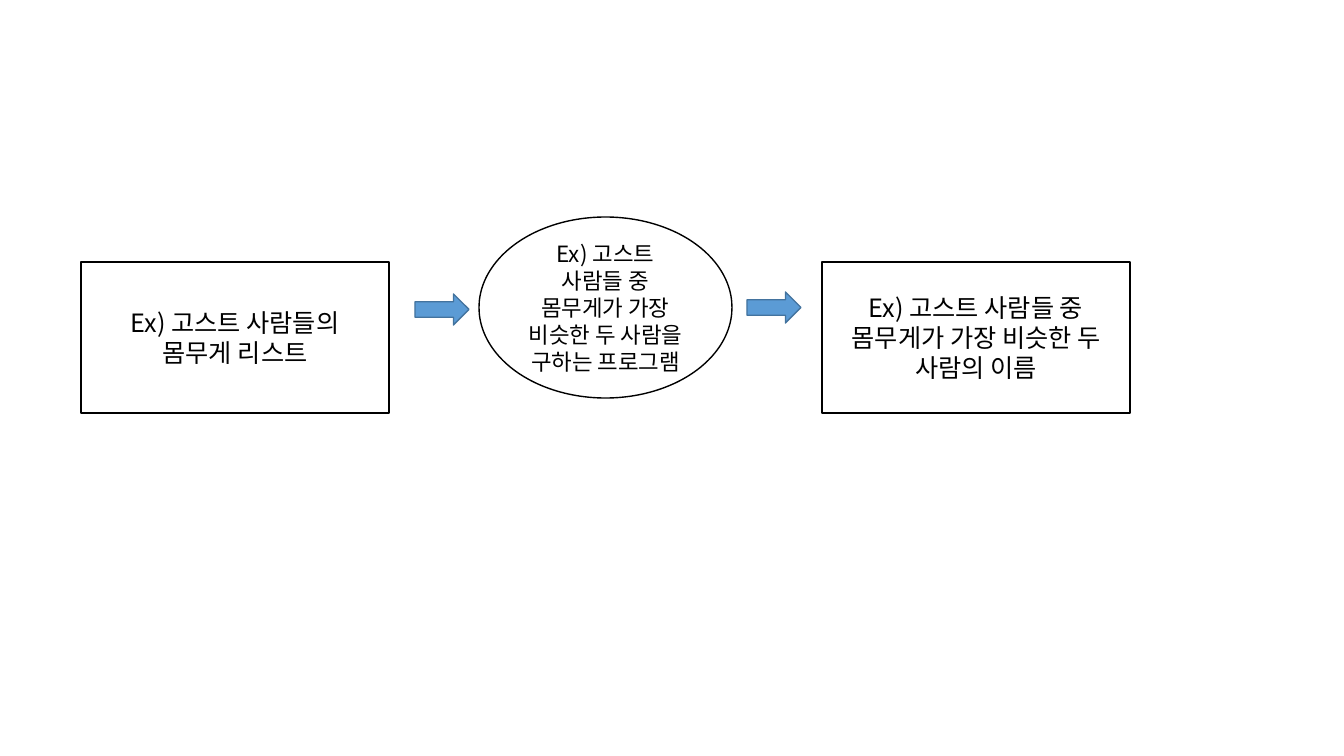
from lxml.etree import SubElement
from pptx import Presentation
from pptx.dml.color import RGBColor
from pptx.enum.shapes import MSO_SHAPE as Preset
from pptx.enum.text import MSO_ANCHOR as Anchor, PP_ALIGN as Align
from pptx.oxml.ns import qn
from pptx.util import Emu, Pt

SCALE = 914400 / 100.8
FONT = "Noto Sans CJK KR"
COLORS = {"paper": "FFFFFF", "ink": "000000", "arrow": "5B9BD5", "arrow_edge": "43739E"}


def px(length):
    return Emu(round(length * SCALE))


def color(name):
    return RGBColor.from_string(COLORS[name])


class FlowSlide:
    def __init__(self, presentation):
        self.slide = presentation.slides.add_slide(presentation.slide_layouts[6])

    def shape(self, preset, box, fill, line):
        shape = self.slide.shapes.add_shape(preset, *map(px, box))
        shape.shadow.inherit = False
        shape.fill.solid()
        shape.fill.fore_color.rgb = color(fill)
        shape.line.color.rgb = color(line)
        shape.line.width = Pt(1)
        return shape

    def step(self, preset, box, text, size):
        text_frame = self.shape(preset, box, "paper", "ink").text_frame
        text_frame.word_wrap = True
        text_frame.vertical_anchor = Anchor.MIDDLE
        text_frame.text = text
        for paragraph in text_frame.paragraphs:
            paragraph.alignment = Align.CENTER
            for run in paragraph.runs:
                run.font.size = Pt(size)
                run.font.name = FONT
                run.font.color.rgb = color("ink")
                SubElement(run._r.get_or_add_rPr(), qn("a:ea"), typeface=FONT)

    def arrow(self, left, top):
        self.shape(Preset.RIGHT_ARROW, (left, top, 54, 31), "arrow", "arrow_edge")


presentation = Presentation()
presentation.slide_width, presentation.slide_height = px(1344), px(756)
flow = FlowSlide(presentation)

flow.step(Preset.RECTANGLE, (81, 262, 308, 151), "Ex) 고스트 사람들의\n몸무게 리스트", 18)
flow.step(Preset.OVAL, (479, 217, 253, 181),
          "Ex) 고스트 사람들 중 몸무게가 가장 비슷한 두 사람을 구하는 프로그램", 16)
flow.step(Preset.RECTANGLE, (822, 262, 308, 151),
          "Ex) 고스트 사람들 중 몸무게가 가장 비슷한 두 사람의 이름", 18)
flow.arrow(415, 294)
flow.arrow(747, 292)

presentation.save("out.pptx")
